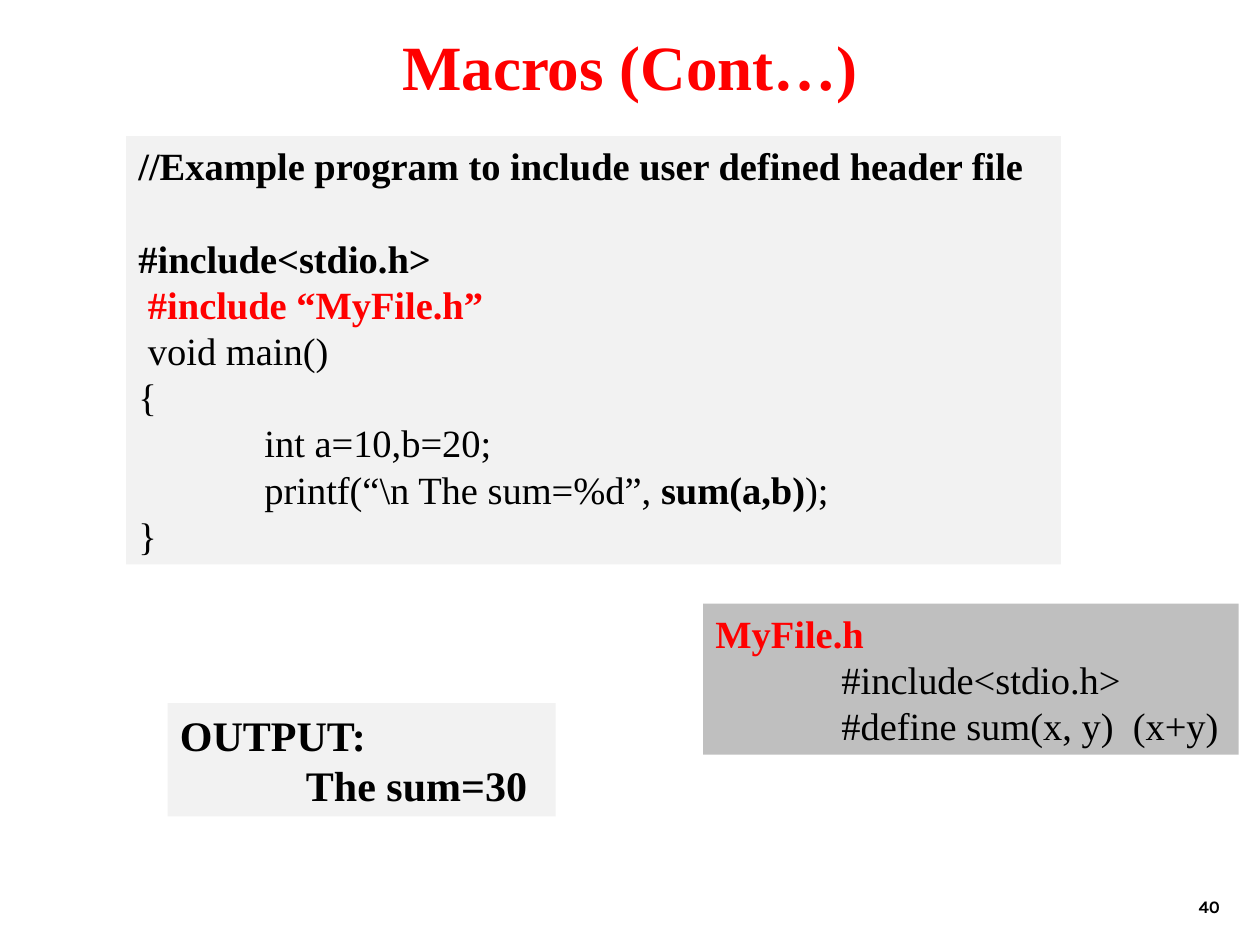
from lxml import etree
from pptx import Presentation
from pptx.dml.color import RGBColor
from pptx.enum.shapes import MSO_SHAPE
from pptx.enum.text import MSO_ANCHOR, PP_ALIGN
from pptx.oxml.ns import qn
from pptx.util import Inches, Pt

RECTANGLE = MSO_SHAPE.RECTANGLE
TOP, BOTTOM = MSO_ANCHOR.TOP, MSO_ANCHOR.BOTTOM
LEFT, CENTER, RIGHT = PP_ALIGN.LEFT, PP_ALIGN.CENTER, PP_ALIGN.RIGHT
RED = RGBColor(0xFF, 0x00, 0x00)
BLACK = RGBColor(0x00, 0x00, 0x00)
PALE_GRAY = RGBColor(0xF2, 0xF2, 0xF2)
MID_GRAY = RGBColor(0xBF, 0xBF, 0xBF)
SERIF = "Times New Roman"
LINE_FACTOR = 1.2


def style_font(font, name, size, color, bold):
    font.name = name
    font.size = Pt(size)
    font.bold = bold
    font.color.rgb = color


deck = Presentation()
deck.slide_width = Inches(10)
deck.slide_height = Inches(7.5)
page = deck.slides.add_slide(deck.slide_layouts[5])

title = page.shapes.title
title.left, title.top = Inches(0.25), Inches(0.17)
title.width, title.height = Inches(9.5), Inches(0.7)
title.text_frame.text = "Macros (Cont…)"
title.text_frame.vertical_anchor = TOP
heading = title.text_frame.paragraphs[0]
heading.alignment = CENTER
style_font(heading.runs[0].font, SERIF, 36, RED, True)

number = page.shapes.add_textbox(Inches(7.7), Inches(6.83), Inches(2.08), Inches(0.5))
number.text_frame.word_wrap = True
number.text_frame.vertical_anchor = BOTTOM
number.text_frame.text = "40"
number_line = number.text_frame.paragraphs[0]
number_line.alignment = RIGHT
style_font(number_line.runs[0].font, "Karla", 10, BLACK, True)

header_lines = [
    [("MyFile.h", RED, True)],
    [("\t#include<stdio.h>", BLACK, False)],
    [("\t#define sum(x, y)  (x+y)", BLACK, False)],
]
program_lines = [
    [("//Example program to include user defined header file", BLACK, True)],
    [("#include<stdio.h>", BLACK, True)],
    [(" #include “MyFile.h”", RED, True)],
    [(" void main()", BLACK, False)],
    [("{", BLACK, False)],
    [("\tint a=10,b=20;", BLACK, False)],
    [("\tprintf(“\\n The sum=%d”, ", BLACK, False), ("sum(a,b)", BLACK, True), (");", BLACK, False)],
    [("}", BLACK, False)],
]
output_lines = [
    [("OUTPUT:", BLACK, True)],
    [("\tThe sum=30", BLACK, True)],
]
panels = [
    (5.58, 4.79, 4.25, 1.2, MID_GRAY, 22, header_lines),
    (1, 1.08, 7.42, 3.4, PALE_GRAY, 22, program_lines),
    (1.33, 5.58, 3.08, 0.9, PALE_GRAY, 24, output_lines),
]

for left, top, width, height, fill, size, lines in panels:
    box = page.shapes.add_shape(RECTANGLE, Inches(left), Inches(top), Inches(width), Inches(height))
    box.shadow.inherit = False
    box.fill.solid()
    box.fill.fore_color.rgb = fill
    box.line.fill.background()
    frame = box.text_frame
    frame.word_wrap = True
    frame.vertical_anchor = TOP
    for index, pieces in enumerate(lines):
        para = frame.add_paragraph() if index else frame.paragraphs[0]
        para.alignment = LEFT
        para.line_spacing = Pt(size * LINE_FACTOR)
        if lines is program_lines and index == 1:
            para.space_before = Pt(size * LINE_FACTOR)
        tabs = etree.SubElement(para._p.get_or_add_pPr(), qn("a:tabLst"))
        etree.SubElement(tabs, qn("a:tab"), pos=str(Inches(1)), algn="l")
        for text, color, bold in pieces:
            span = para.add_run()
            span.text = text
            style_font(span.font, SERIF, size, color, bold)

deck.save("out.pptx")
